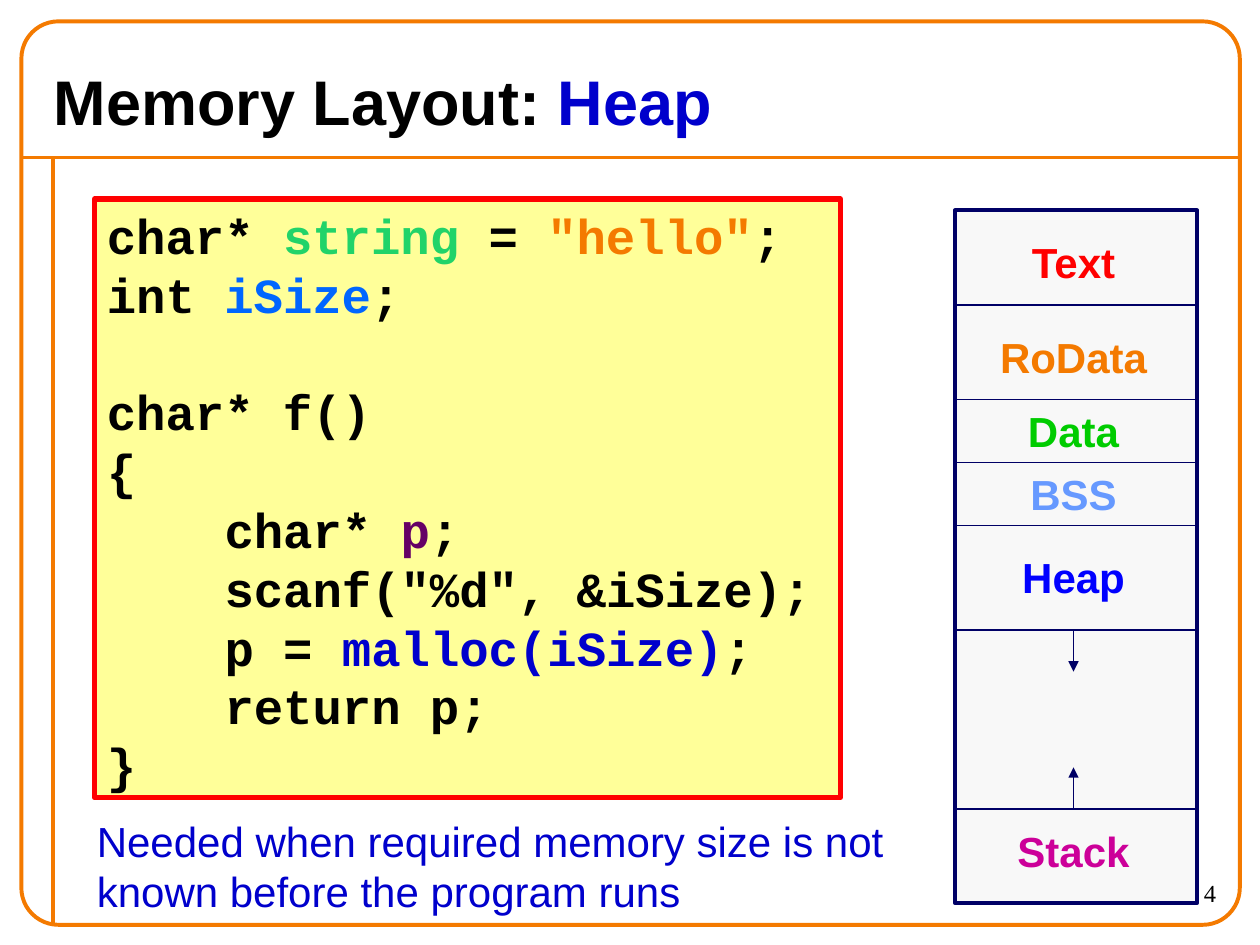
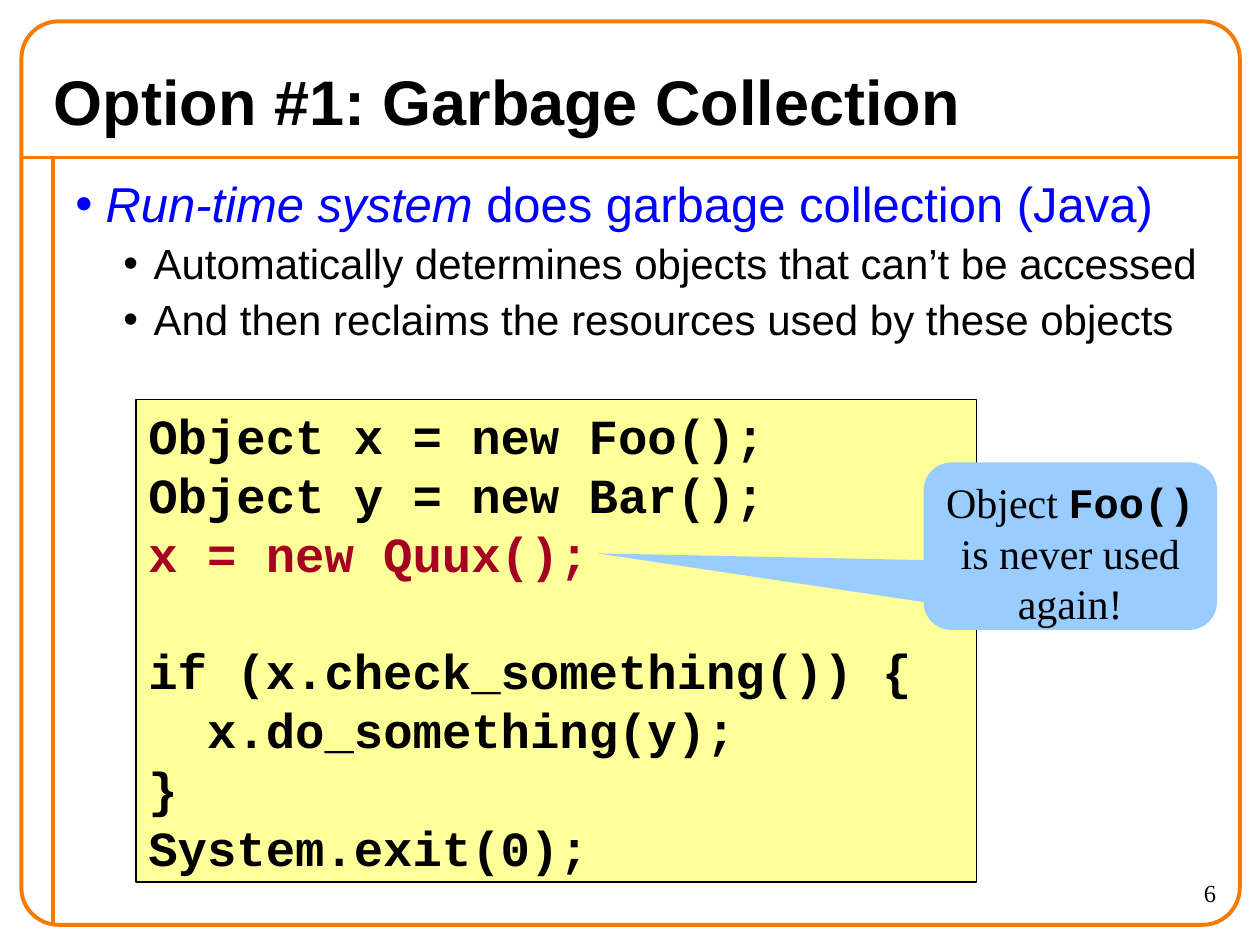
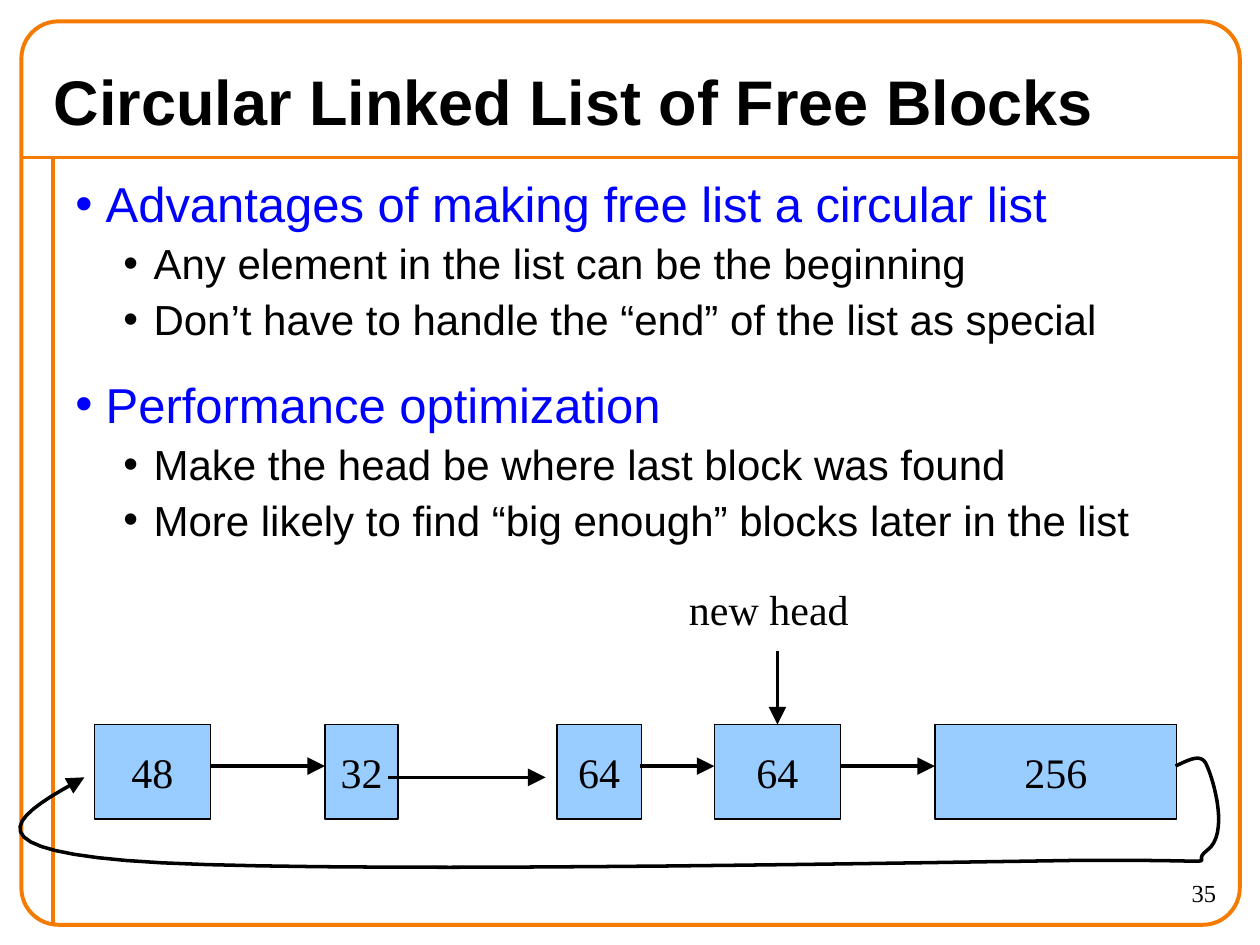
import pptx
import pptx.dml.color
import pptx.enum.shapes
import pptx.enum.text
import pptx.oxml
import pptx.oxml.ns
import pptx.util

RGBColor = pptx.dml.color.RGBColor
Inches = pptx.util.Inches
Pt = pptx.util.Pt
SHAPE = pptx.enum.shapes.MSO_SHAPE
ANCHOR = pptx.enum.text.MSO_ANCHOR
ALIGN = pptx.enum.text.PP_ALIGN

BLACK = RGBColor(0x00, 0x00, 0x00)
ORANGE = RGBColor(0xF4, 0x7A, 0x00)
RED = RGBColor(0xFF, 0x00, 0x00)
DARK_RED = RGBColor(0xA5, 0x00, 0x21)
BLUE = RGBColor(0x00, 0x00, 0xFF)
DEEP_BLUE = RGBColor(0x00, 0x00, 0xCC)
BRIGHT_BLUE = RGBColor(0x00, 0x66, 0xFF)
SOFT_BLUE = RGBColor(0x66, 0x99, 0xFF)
PALE_BLUE = RGBColor(0x99, 0xCC, 0xFF)
NAVY = RGBColor(0x00, 0x00, 0x66)
GREEN = RGBColor(0x00, 0xCC, 0x00)
MINT = RGBColor(0x21, 0xD3, 0x69)
PURPLE = RGBColor(0x66, 0x00, 0x66)
MAGENTA = RGBColor(0xCC, 0x00, 0x99)
YELLOW = RGBColor(0xFF, 0xFF, 0x99)
GREY = RGBColor(0xF8, 0xF8, 0xF8)

SANS, MONO, SERIF = "Arial", "Courier New", "Times New Roman"
CODE_SIZE = 28
CODE_CHAR = 0.6 * CODE_SIZE / 72  # width of one monospaced character, in inches
CODE_LINE = 1.2 * CODE_SIZE  # height of one line of code, in points


def add_xml(parent, xml):
    parent.append(pptx.oxml.parse_xml(
        xml.replace("/>", f' {pptx.oxml.ns.nsdecls("a")}/>', 1)))


def write(para, spans, name, size, color=BLACK, bold=False, align=ALIGN.LEFT):
    """Fill a paragraph; a span is a string or (string, font settings that differ)."""
    para.alignment = align
    font = para.font
    font.name, font.size, font.bold = name, Pt(size), bold
    font.color.rgb = color
    for span in [spans] if isinstance(spans, str) else spans:
        text, settings = (span, {}) if isinstance(span, str) else span
        run = para.add_run()
        run.text = text
        for key, value in settings.items():
            if key == "color":
                run.font.color.rgb = value
            else:
                setattr(run.font, key, value)


def add_text(page, left, top, width, height, spans, name, size, wrap=True, **style):
    box = page.shapes.add_textbox(Inches(left), Inches(top), Inches(width), Inches(height))
    box.text_frame.word_wrap = wrap
    write(box.text_frame.paragraphs[0], spans, name, size, **style)
    return box


def set_line(shape, color, width):
    shape.line.color.rgb = color
    shape.line.width = Pt(width)


def add_box(page, kind, left, top, width, height, fill=None, line=None, weight=0.75):
    box = page.shapes.add_shape(kind, Inches(left), Inches(top), Inches(width), Inches(height))
    box.shadow.inherit = False
    if fill is None:
        box.fill.background()
    else:
        box.fill.solid()
        box.fill.fore_color.rgb = fill
    if line is None:
        box.line.fill.background()
    else:
        set_line(box, line, weight)
    box.text_frame.word_wrap = True
    box.text_frame.vertical_anchor = ANCHOR.TOP
    return box


def add_arrowhead(shape, size):
    """Size is med or lg."""
    add_xml(shape.line._get_or_add_ln(), f'<a:tailEnd type="triangle" w="{size}" len="{size}"/>')


def add_line(page, x1, y1, x2, y2, color, weight, arrow=None):
    line = page.shapes.add_connector(
        pptx.enum.shapes.MSO_CONNECTOR.STRAIGHT,
        Inches(x1), Inches(y1), Inches(x2), Inches(y2))
    set_line(line, color, weight)
    if arrow:
        add_arrowhead(line, arrow)
    add_xml(line._element.spPr, "<a:effectLst/>")
    return line


def add_page(deck, title, number):
    """Add a page with the orange frame, its title and its number."""
    page = deck.slides.add_slide(deck.slide_layouts[6])
    add_line(page, 0.17, 1.25, 9.83, 1.25, ORANGE, 2.25)
    add_line(page, 0.42, 1.25, 0.42, 7.33, ORANGE, 2.25)
    frame = add_box(page, SHAPE.ROUNDED_RECTANGLE, 0.17, 0.17, 9.67, 7.17,
                    line=ORANGE, weight=2.25)
    frame.adjustments[0] = 0.041
    add_text(page, 8.75, 6.92, 1, 0.42, str(number), SERIF, 14, align=ALIGN.RIGHT)
    heading = add_text(page, 0.33, 0.42, 9.33, 0.75, title, SANS, 36, bold=True)
    heading.text_frame.vertical_anchor = ANCHOR.MIDDLE
    return page


def add_bullets(page, height, items):
    """Items are (level, spans)."""
    box = page.shapes.add_textbox(Inches(0.5), Inches(1.33), Inches(9.25), Inches(height))
    frame = box.text_frame
    frame.word_wrap = True
    styles = [(0.24, 17.5, 28, BLUE), (0.62, 3, 24, BLACK)]
    for index, (level, spans) in enumerate(items):
        indent, space, size, color = styles[level]
        para = frame.add_paragraph() if index else frame.paragraphs[0]
        para.level = level
        para.space_before = Pt(space)
        properties = para._p.get_or_add_pPr()
        properties.set("marL", str(Inches(indent)))
        properties.set("indent", str(Inches(-0.24)))
        properties.append(pptx.oxml.parse_xml(
            f'<a:buClr {pptx.oxml.ns.nsdecls("a")}><a:srgbClr val="{color}"/></a:buClr>'))
        add_xml(properties, '<a:buFont typeface="Arial"/>')
        add_xml(properties, '<a:buChar char="•"/>')
        write(para, spans, SANS, size, color)


def add_code(page, left, top, width, height, lines, line=BLACK, weight=0.75):
    """Lines are (indent in characters, spans); None leaves one line of space."""
    box = add_box(page, SHAPE.RECTANGLE, left, top, width, height, YELLOW, line, weight)
    frame = box.text_frame
    para, gap = frame.paragraphs[0], 0
    for index, entry in enumerate(lines):
        if entry is None:
            gap = CODE_LINE
            continue
        if index:
            para = frame.add_paragraph()
        indent, spans = entry
        para._p.get_or_add_pPr().set("marL", str(Inches(indent * CODE_CHAR)))
        para.space_before = Pt(gap)
        gap = 0
        write(para, spans, MONO, CODE_SIZE, bold=True)


def add_memory_map(page, left, top, width, height):
    # name, colour, height of section, gap above label
    sections = [
        ("Text", RED, 0.75, 0.16),
        ("RoData", ORANGE, 0.75, 0.16),
        ("Data", GREEN, 0.5, 0),
        ("BSS", SOFT_BLUE, 0.5, 0),
        ("Heap", BLUE, 0.83, 0.16),
        (None, None, 1.42, 0),
        ("Stack", MAGENTA, 0.75, 0.08),
    ]
    add_box(page, SHAPE.RECTANGLE, left, top, width, height, GREY, NAVY, 2.25)
    middle = 0.94
    y = top
    for name, color, section_height, gap in sections:
        bottom = y + section_height
        if y > top:
            add_line(page, left, y, left + width, y, NAVY, 0.75)
        if name:
            add_text(page, left, y + gap, 2 * middle, 0.5, name, SANS, 24,
                     color=color, bold=True, align=ALIGN.CENTER)
        else:
            for start, end in ((y, y + 0.33), (bottom, bottom - 0.33)):
                add_line(page, left + middle, start, left + middle, end, NAVY, 0.75, "med")
        y = bottom


def add_loop(page, left, top):
    """Draw the curved arrow from the last block back to the first."""
    curve = [(8.58, 0.33), (8.69, 0.28), (8.79, 0.22), (8.83, 0.33),
             (8.88, 0.44), (9.01, 0.87), (8.83, 1.0),
             (8.65, 1.13), (9.18, 1.07), (7.75, 1.08),
             (6.32, 1.1), (1.56, 1.19), (0.25, 1.08),
             (-1.06, 0.97), (-0.57, 0.69), (-0.08, 0.42)]
    steps = 16
    points = [curve[0]]
    for first in range(0, len(curve) - 1, 3):
        controls = curve[first:first + 4]
        for step in range(1, steps + 1):
            t = step / steps
            weights = ((1 - t) ** 3, 3 * t * (1 - t) ** 2, 3 * t * t * (1 - t), t ** 3)
            points.append(tuple(sum(w * c[axis] for w, c in zip(weights, controls))
                                for axis in (0, 1)))
    places = [(Inches(left + x), Inches(top + y)) for x, y in points]
    builder = page.shapes.build_freeform(*places[0])
    builder.add_line_segments(places[1:], close=False)
    loop = builder.convert_to_shape()
    loop.shadow.inherit = False
    loop.fill.background()
    set_line(loop, BLACK, 2)
    add_arrowhead(loop, "lg")


def add_free_list(page, left, top):
    # offset, width, size of free block
    blocks = [(0, 0.92, "48"), (1.83, 0.58, "32"), (3.67, 0.67, "64"),
              (4.92, 1, "64"), (6.67, 1.92, "256")]
    boxes = []
    for offset, width, size in blocks:
        box = add_box(page, SHAPE.RECTANGLE, left + offset, top, width, 0.75, PALE_BLUE, BLACK)
        box.text_frame.word_wrap = False
        box.text_frame.vertical_anchor = ANCHOR.MIDDLE
        write(box.text_frame.paragraphs[0], size, SERIF, 24, align=ALIGN.CENTER)
        boxes.append(box)
    for start, end, y in ((0.92, 1.83, 0.33), (2.33, 3.58, 0.42),
                          (4.33, 4.92, 0.33), (5.92, 6.67, 0.33)):
        add_line(page, left + start, top + y, left + end, top + y, BLACK, 2, "lg")
    pointer = add_line(page, left + 5.42, top - 0.58, left + 5.42, top, BLACK, 2, "lg")
    pointer.end_connect(boxes[3], 0)
    add_text(page, left + 4.62, top - 1.17, 1.47, 0.5, "new head", SERIF, 24, wrap=False)
    add_loop(page, left, top)


def add_heap_page(deck):
    page = add_page(deck, ["Memory Layout: ", ("Heap", {"color": DEEP_BLUE})], 4)
    add_code(page, 0.75, 1.58, 5.92, 4.75, [
        (0, ["char* ", ("string", {"color": MINT}), " = ",
             ("\"hello\"", {"color": ORANGE}), ";"]),
        (0, ["int ", ("iSize", {"color": BRIGHT_BLUE}), ";"]),
        None,
        (0, "char* f()"),
        (0, "{"),
        (4, ["char* ", ("p", {"color": PURPLE}), ";"]),
        (4, "scanf(\"%d\", &iSize);"),
        (4, ["p = ", ("malloc(iSize)", {"color": DEEP_BLUE}), ";"]),
        (4, "return p;"),
        (0, "}"),
    ], RED, 3)
    add_memory_map(page, 7.58, 1.67, 1.92, 5.5)
    add_text(page, 0.67, 6.42, 6.5, 0.9,
             "Needed when required memory size is not known before the program runs",
             SANS, 24, color=DEEP_BLUE)


def add_garbage_page(deck):
    page = add_page(deck, "Option #1: Garbage Collection", 6)
    add_bullets(page, 1.58, [
        (0, [("Run-time system", {"italic": True}), " does garbage collection (Java)"]),
        (1, "Automatically determines objects that can’t be accessed"),
        (1, "And then reclaims the resources used by these objects"),
    ])
    add_code(page, 1.08, 3.17, 6.67, 3.83, [
        (0, "Object x = new Foo();"),
        (0, "Object y = new Bar();"),
        (0, [("x = new Quux();", {"color": DARK_RED})]),
        None,
        (0, "if (x.check_something()) {"),
        (2, "x.do_something(y);"),
        (0, "}"),
        (0, "System.exit(0);"),
    ])
    callout = add_box(page, SHAPE.ROUNDED_RECTANGULAR_CALLOUT, 7.33, 3.67, 2.33, 1.33, PALE_BLUE)
    for index, value in enumerate((-1.612, 0.043, 0.167)):
        callout.adjustments[index] = value
    write(callout.text_frame.paragraphs[0],
          ["Object ", ("Foo()", {"name": MONO, "bold": True}), " is never used again!"],
          SERIF, 24, align=ALIGN.CENTER)


def add_circular_page(deck):
    page = add_page(deck, "Circular Linked List of Free Blocks", 35)
    add_bullets(page, 6, [
        (0, "Advantages of making free list a circular list"),
        (1, "Any element in the list can be the beginning"),
        (1, "Don’t have to handle the “end” of the list as special"),
        (0, "Performance optimization"),
        (1, "Make the head be where last block was found"),
        (1, "More likely to find “big enough” blocks later in the list"),
    ])
    add_free_list(page, 0.75, 5.75)


def main():
    deck = pptx.Presentation()
    deck.slide_width, deck.slide_height = Inches(10), Inches(7.5)
    add_heap_page(deck)
    add_garbage_page(deck)
    add_circular_page(deck)
    deck.save("out.pptx")


if __name__ == "__main__":
    main()
